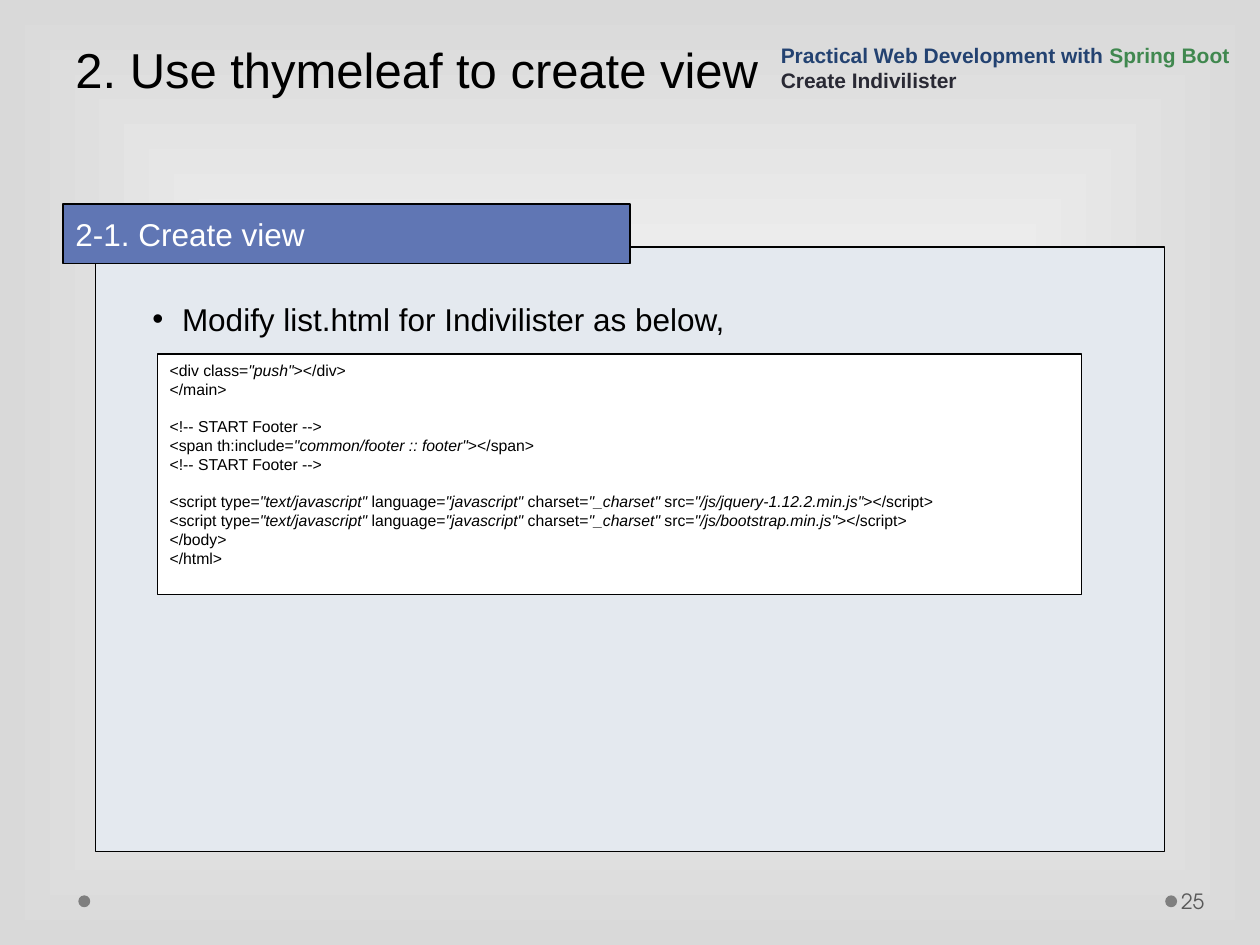
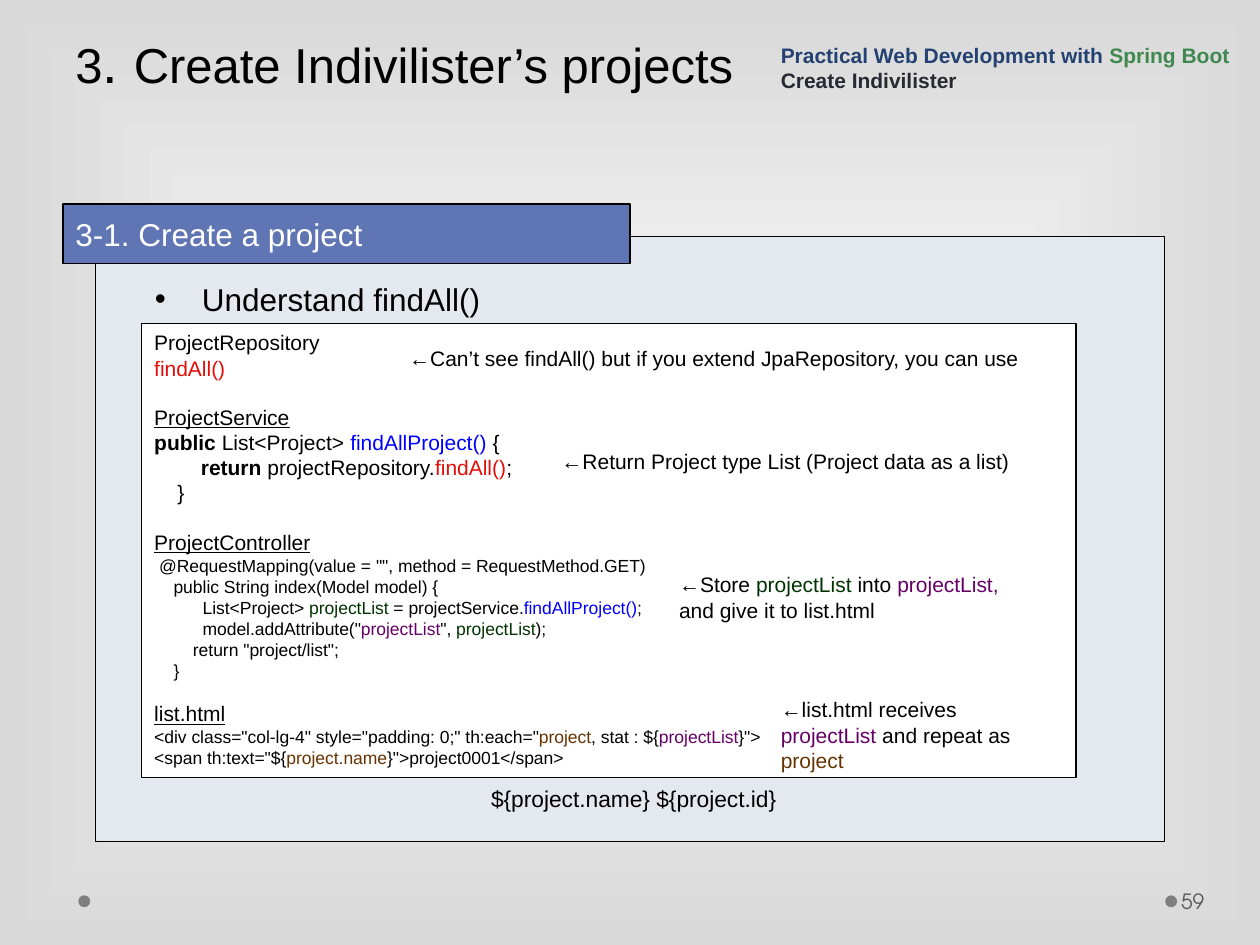
from dataclasses import dataclass
from typing import NamedTuple

from pptx import Presentation
from pptx.dml.color import RGBColor
from pptx.enum.shapes import MSO_SHAPE
from pptx.enum.text import MSO_ANCHOR, MSO_AUTO_SIZE, PP_ALIGN
from pptx.oxml import parse_xml
from pptx.oxml.ns import nsdecls, qn
from pptx.util import Cm, Pt

RECTANGLE = MSO_SHAPE.RECTANGLE
OVAL = MSO_SHAPE.OVAL
TOP, MIDDLE, BOTTOM = MSO_ANCHOR.TOP, MSO_ANCHOR.MIDDLE, MSO_ANCHOR.BOTTOM
LEFT = PP_ALIGN.LEFT
NO_AUTOFIT = MSO_AUTO_SIZE.NONE
TWO_CONTENT = 3


@dataclass(frozen=True)
class Theme:
    font: str = "Arial"
    number_font: str = "TeX Gyre Adventor"
    black: str = "000000"
    white: str = "FFFFFF"
    edge: str = "D9D9D9"
    panel: str = "E4E9EF"
    band: str = "6076B4"
    dot: str = "7F7F7F"
    number: str = "595959"
    course: str = "234271"
    framework: str = "40884F"
    chapter: str = "292934"
    finder: str = "E40D08"
    service: str = "0000FF"
    variable: str = "003300"
    attribute: str = "660066"
    item: str = "663300"
    title_size: float = 28
    title_dot_size: float = 32
    heading_size: float = 18
    caption_size: float = 13
    text_size: float = 12
    code_size: float = 10
    small_code_size: float = 9
    line_height: float = 1.15
    outline: float = 0.75


THEME = Theme()


class Box(NamedTuple):
    left: float
    top: float
    width: float
    height: float


class Run(NamedTuple):
    text: str
    color: str | None = None
    size: float | None = None
    bold: bool | None = None
    italic: bool = False
    underline: bool = False


class Line(NamedTuple):
    runs: tuple[Run, ...]
    size: float | None = None
    gap_size: float = 0


class Note(NamedTuple):
    box: Box
    line: Line


@dataclass(frozen=True)
class Lesson:
    number: str
    title: Line
    title_inset: float
    section: str
    panel_top: float
    task: str
    task_box: Box
    task_indent: float
    code: tuple[Line, ...]
    code_box: Box
    code_size: float
    notes: tuple[Note, ...] = ()


def line(*parts: str | Run, size: float | None = None, gap_size: float = 0) -> Line:
    runs = tuple(Run(part) if isinstance(part, str) else part for part in parts)
    return Line(runs, size, gap_size)


def markup(text: str, gap_size: float = 0) -> Line:
    pieces = text.split('"')
    runs = [Run(f'"{piece}"', italic=True) if index % 2 else Run(piece)
            for index, piece in enumerate(pieces)]
    return line(*runs, gap_size=gap_size)


def place(shape, box: Box) -> None:
    shape.left, shape.top, shape.width, shape.height = map(Cm, box)


def paint(shape, fill: str, outlined: bool = True) -> None:
    shape.fill.solid()
    shape.fill.fore_color.rgb = RGBColor.from_string(fill)
    if outlined:
        shape.line.color.rgb = RGBColor.from_string(THEME.black)
        shape.line.width = Pt(THEME.outline)
    else:
        shape.line.fill.background()


def add_figure(slide, kind, box: Box, fill: str, outlined: bool = True):
    shape = slide.shapes.add_shape(kind, *map(Cm, box))
    shape.shadow.inherit = False
    paint(shape, fill, outlined)
    return shape


def set_indent(paragraph, bullet_indent: float) -> None:
    properties = paragraph._p.get_or_add_pPr()
    properties.set("marL", str(Cm(bullet_indent)))
    properties.set("indent", str(-Cm(bullet_indent)))
    bullet = '<a:buChar %s char="•"/>' if bullet_indent else "<a:buNone %s/>"
    if bullet_indent:
        properties.append(parse_xml(f'<a:buFont {nsdecls("a")} typeface="{THEME.font}"/>'))
    properties.append(parse_xml(bullet % nsdecls("a")))


def write(shape, lines: tuple[Line, ...], *, size: float = THEME.text_size,
          color: str = THEME.black, font: str = THEME.font, bold: bool = False,
          anchor=TOP, bullet_indent: float = 0, inset_top: float = 0.13,
          inset_left: float = 0.25) -> None:
    frame = shape.text_frame
    frame.word_wrap = True
    frame.auto_size = NO_AUTOFIT
    frame.vertical_anchor = anchor
    frame.margin_left, frame.margin_right = Cm(inset_left), Cm(0.25)
    frame.margin_top, frame.margin_bottom = Cm(inset_top), Cm(0.13)
    for index, text_line in enumerate(lines):
        paragraph = frame.add_paragraph() if index else frame.paragraphs[0]
        set_indent(paragraph, bullet_indent)
        paragraph.alignment = LEFT
        paragraph.space_before = Pt(text_line.gap_size * THEME.line_height)
        for part in text_line.runs:
            run = paragraph.add_run()
            run.text = part.text
            run.font.name = font
            run.font.size = Pt(part.size or text_line.size or size)
            run.font.bold = bold if part.bold is None else part.bold
            run.font.italic = part.italic
            run.font.underline = part.underline
            run.font.color.rgb = RGBColor.from_string(part.color or color)


def add_text(slide, box: Box, *lines: Line, **style) -> None:
    write(slide.shapes.add_textbox(*map(Cm, box)), lines, **style)


def set_background(presentation) -> None:
    master = presentation.slide_master
    fill = master.background.fill
    fill.gradient()
    for stop, color in zip(fill.gradient_stops, (THEME.white, THEME.edge)):
        stop.color.rgb = RGBColor.from_string(color)
    gradient = next(master.element.iter(qn("a:gradFill")))
    gradient.replace(gradient.find(qn("a:lin")), parse_xml(
        f'<a:path {nsdecls("a")} path="rect">'
        '<a:fillToRect l="50000" t="50000" r="50000" b="50000"/></a:path>'))


def add_frame(slide, lesson: Lesson) -> None:
    backdrop = [add_figure(slide, OVAL, Box(left, 18.05, 0.24, 0.24), THEME.dot, False)
                for left in (23.49, 1.58)]
    backdrop.append(add_figure(slide, RECTANGLE, Box(1.92, lesson.panel_top, 21.56, 12.19),
                               THEME.panel))
    for shape in backdrop:
        slide.shapes.title.element.addprevious(shape.element)
    add_text(slide, Box(23.73, 17.66, 1.55, 1.01), line(lesson.number), font=THEME.number_font,
             color=THEME.number, anchor=MIDDLE, inset_left=0.08)
    add_text(slide, Box(15.49, 0.61, 9.91, 1.4),
             line("Practical Web Development with ", Run("Spring Boot", THEME.framework)),
             line(Run("Create Indivilister", THEME.chapter)),
             color=THEME.course, bold=True, anchor=BOTTOM)


def add_lesson(presentation, lesson: Lesson) -> None:
    slide = presentation.slides.add_slide(presentation.slide_layouts[TWO_CONTENT])
    title, section, task = slide.placeholders
    add_frame(slide, lesson)
    place(title, Box(1.27, 0, 22.86, 4.1))
    write(title, (lesson.title,), size=THEME.title_size, inset_top=lesson.title_inset)
    place(section, Box(1.27, 4.11, 11.43, 1.2))
    paint(section, THEME.band)
    write(section, (line(lesson.section),), size=THEME.heading_size, color=THEME.white,
          anchor=MIDDLE)
    place(task, lesson.task_box)
    write(task, (line(lesson.task),), size=THEME.heading_size,
          bullet_indent=lesson.task_indent)
    code = add_figure(slide, RECTANGLE, lesson.code_box, THEME.white)
    write(code, lesson.code, size=lesson.code_size)
    for note in lesson.notes:
        add_text(slide, note.box, note.line)


def heading(text: str, gap_size: float) -> Line:
    return line(Run(text, underline=True), size=THEME.text_size, gap_size=gap_size)


SCRIPT = '<script type="text/javascript" language="javascript" charset="_charset" src="/js/{}"></script>'
FIND_ALL = Run("findAll()", THEME.finder)
FIND_PROJECTS = Run("findAllProject()", THEME.service)
LIST_VARIABLE = Run("projectList", THEME.variable)
LIST_ATTRIBUTE = Run("projectList", THEME.attribute)
ITEM = Run("project", THEME.item)

VIEW_LESSON = Lesson(
    number="25",
    title=line("2. Use thymeleaf to create view"),
    title_inset=0.8,
    section="2-1. Create view",
    panel_top=4.98,
    task="Modify list.html for Indivilister as below,",
    task_box=Box(2.82, 5.91, 19.66, 1.02),
    task_indent=0.6,
    code_box=Box(3.17, 7.14, 18.63, 4.84),
    code_size=THEME.small_code_size,
    code=(
        markup('<div class="push"></div>'),
        markup("</main>"),
        markup("<!-- START Footer -->", THEME.small_code_size),
        markup('<span th:include="common/footer :: footer"></span>'),
        markup("<!-- START Footer -->"),
        markup(SCRIPT.format("jquery-1.12.2.min.js"), THEME.small_code_size),
        markup(SCRIPT.format("bootstrap.min.js")),
        markup("</body>"),
        markup("</html>"),
    ),
)

PROJECT_LESSON = Lesson(
    number="59",
    title=line("3", Run(". ", size=THEME.title_dot_size), "Create Indivilister’s projects"),
    title_inset=0.55,
    section="3-1. Create a project",
    panel_top=4.77,
    task="Understand findAll()",
    task_box=Box(2.87, 5.51, 19.66, 1.02),
    task_indent=0.95,
    code_box=Box(2.86, 6.52, 18.83, 9.16),
    code_size=THEME.code_size,
    code=(
        line("ProjectRepository", size=THEME.text_size),
        line(FIND_ALL, size=THEME.text_size),
        heading("ProjectService", THEME.text_size),
        line(Run("public", bold=True), " List<Project> ", FIND_PROJECTS, " {",
             size=THEME.text_size),
        line("        ", Run("return", bold=True), " projectRepository.", FIND_ALL, ";",
             size=THEME.text_size),
        line("    }", size=THEME.text_size),
        heading("ProjectController", THEME.text_size),
        line(' @RequestMapping(value = "", method = RequestMethod.GET)'),
        line("    public String index(Model model) {"),
        line("          List<Project> ", LIST_VARIABLE, " = projectService.", FIND_PROJECTS, ";"),
        line('          model.addAttribute("', LIST_ATTRIBUTE, '", ', LIST_VARIABLE, ");"),
        line('        return "project/list";'),
        line("    }"),
        heading("list.html", THEME.code_size),
        line('<div class="col-lg-4" style="padding: 0;" th:each="', ITEM, ", stat : ${",
             LIST_ATTRIBUTE, '}">'),
        line('<span th:text="${', Run("project.name", THEME.item), '}">project0001</span>'),
    ),
    notes=(
        Note(Box(9.65, 15.7, 7.54, 0.81),
             line("${project.name} ${project.id}", size=THEME.caption_size)),
        Note(Box(8, 6.83, 14, 0.76),
             line("←Can’t see findAll() but if you extend JpaRepository, you can use")),
        Note(Box(11.07, 8.92, 10.06, 0.76),
             line("←Return Project type List (Project data as a list)")),
        Note(Box(13.44, 11.4, 7.7, 1.27),
             line("←Store ", LIST_VARIABLE, " into ", Run("projectList, ", THEME.attribute),
                  "and give it to list.html")),
        Note(Box(15.49, 13.92, 5.64, 1.78),
             line("←list.html receives ", LIST_ATTRIBUTE, " and repeat as ", ITEM)),
    ),
)


def main() -> None:
    presentation = Presentation()
    presentation.slide_width, presentation.slide_height = Cm(25.4), Cm(19.05)
    set_background(presentation)
    for lesson in (VIEW_LESSON, PROJECT_LESSON):
        add_lesson(presentation, lesson)
    presentation.save("out.pptx")


if __name__ == "__main__":
    main()
